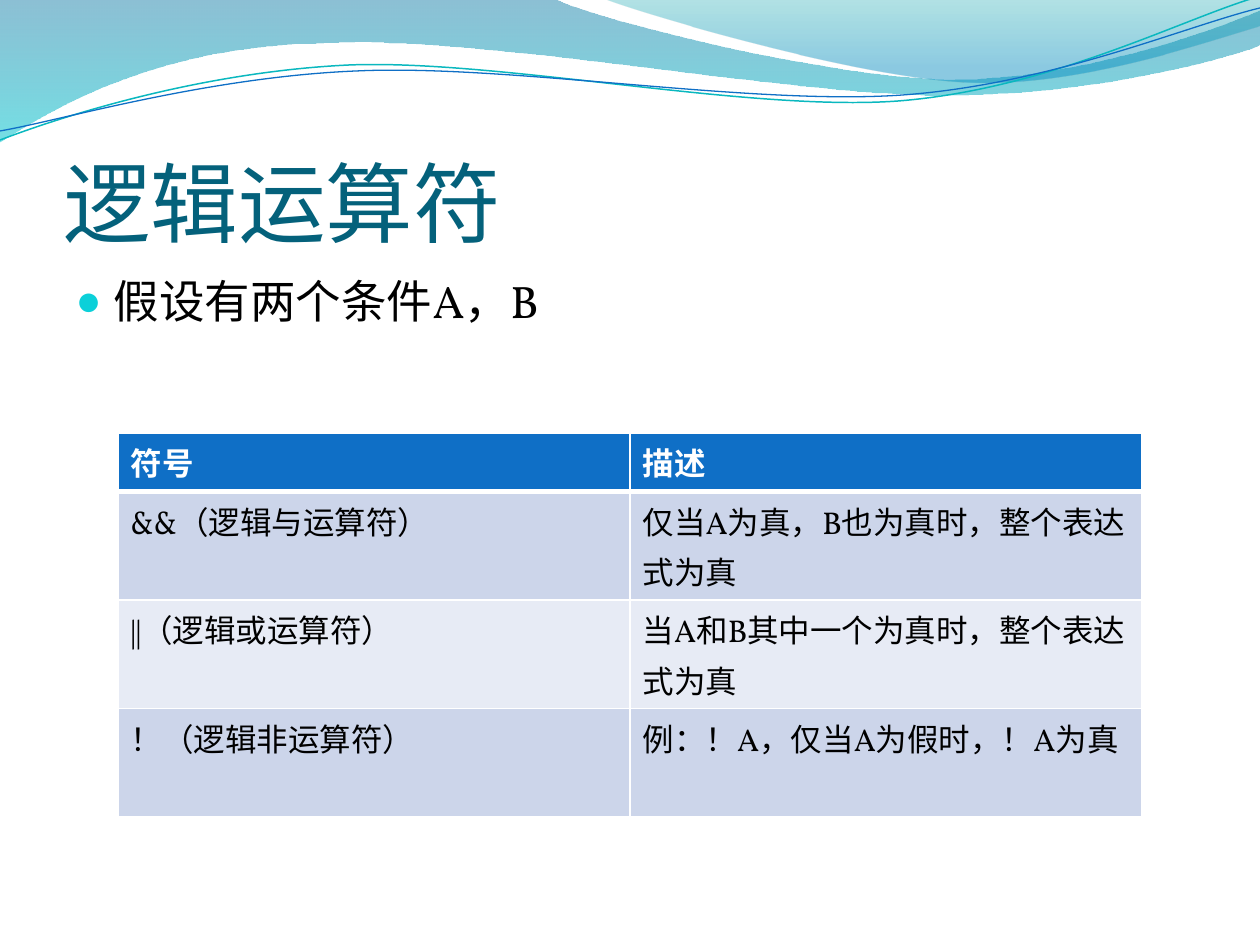
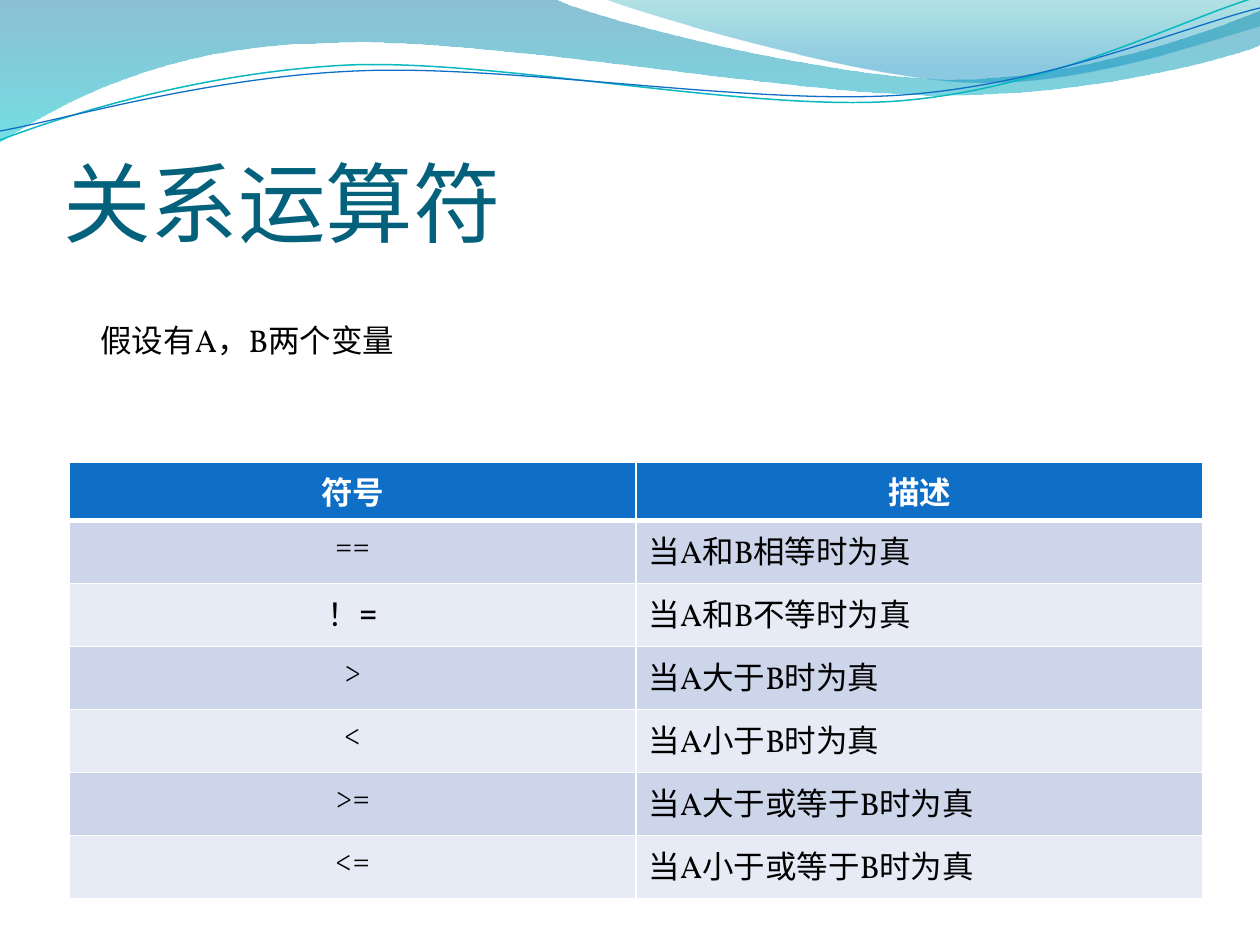
from pptx import Presentation
from pptx.dml.color import RGBColor as RGB
from pptx.enum.text import MSO_ANCHOR as Anchor, MSO_AUTO_SIZE as Fit, PP_ALIGN as Align
from pptx.oxml import parse_xml
from pptx.oxml.ns import nsdecls, qn
from pptx.util import Pt

PX = 914400 / 126  # EMU in one px
NS = nsdecls("a")

# Colours and fonts
WHITE = RGB(0xFF, 0xFF, 0xFF)
BLACK = RGB(0, 0, 0)
BLUE = RGB(0x0F, 0x6F, 0xC6)
TEAL = RGB(0x0A, 0xB8, 0xBF)
CYAN = RGB(0x0B, 0xD0, 0xD9)
NAVY = RGB(0x04, 0x61, 0x7B)
BANDS = RGB(0xCC, 0xD5, 0xEA), RGB(0xE7, 0xEB, 0xF5)
SERIF, SANS, MONO = "Vollkorn", "Calibri", "Noto Sans Mono"

# Content
LOGIC = {
    "title": "逻辑运算符",
    "note": "假设有两个条件A，B",
    "rows": [
        ("符号", "描述"),
        ("&&（逻辑与运算符）", "仅当A为真，B也为真时，整个表达式为真"),
        ("||（逻辑或运算符）", "当A和B其中一个为真时，整个表达式为真"),
        ("！（逻辑非运算符）", "例：！A，仅当A为假时，！A为真"),
    ],
    "box": (118, 433, 1024),
    "highs": [52, 88, 88, 52],
}
RELATE = {
    "title": "关系运算符",
    "note": "假设有A，B两个变量",
    "rows": [
        ("符号", "描述"),
        ("==", "当A和B相等时为真"),
        ("！=", "当A和B不等时为真"),
        (">", "当A大于B时为真"),
        ("<", "当A小于B时为真"),
        (">=", "当A大于或等于B时为真"),
        ("<=", "当A小于或等于B时为真"),
    ],
    "box": (69, 462, 1134),
    "highs": [52] * 7,
}

# Header waves: a start, then steps of one point (line) or three (curve)
FILLS = [
    ([(0, 0), [(554, -1)],
      [(600, 21), (837, 79), (955, 79)], [(1075, 79), (1207, 33), (1260, 11)],
      [(1261, 45)],
      [(1239, 55), (1096, 96), (940, 95)], [(784, 95), (481, 35), (324, 43)],
      [(163, 45), (58, 105), (-1, 142)]],
     [(0, "0074A1", 45), (100, "00C6CF", 55)]),
    ([(604, -1), [(641, 14), (859, 78), (969, 82)],
      [(1079, 87), (1211, 40), (1260, 26)], [(1260, 0)]],
     [(0, "00A1A9", 30), (80, "008BBF", 45)]),
]
LINES = [
    ([(0, 140), [(60, 117), (199, 72), (349, 65)],
      [(498, 59), (747, 112), (898, 101)], [(1050, 89), (1182, 19), (1257, -3)]],
     TEAL, 0.85),
    ([(0, 131), [(59, 121), (207, 77), (357, 71)],
      [(508, 64), (752, 106), (903, 95)], [(1053, 84), (1186, 26), (1260, 8)]],
     BLUE, 0.75),
]


def emu(*px):
    return [round(n * PX) for n in px]


def place(shape, *box):
    shape.left, shape.top, shape.width, shape.height = emu(*box)


def style(para, size, name, color, bold=False):
    font = para.font
    font.size, font.name, font.bold = Pt(size), name, bold
    font.color.rgb = color


# Waves
def bend(wave, steps):
    """Turn the straight steps that have control points into curves."""
    straight = list(wave.element.spPr.iter(qn("a:lnTo")))
    for line, step in zip(straight, steps):
        if len(step) == 3:
            dots = [emu(*dot) for dot in step]
            marks = "".join(f'<a:pt x="{x - wave.left}" y="{y - wave.top}"/>'
                            for x, y in dots)
            curve = parse_xml(f"<a:cubicBezTo {NS}>{marks}</a:cubicBezTo>")
            line.getparent().replace(line, curve)


def draw(slide, steps, close):
    start, *rest = steps
    pen = slide.shapes.build_freeform(*emu(*start))
    pen.add_line_segments([emu(*step[-1]) for step in rest], close=close)
    wave = pen.convert_to_shape()
    wave.shadow.inherit = False
    bend(wave, rest)
    return wave


def shade(wave, stops):
    wave.line.fill.background()
    wave.fill.gradient()
    marks = "".join(
        f'<a:gs pos="{pos * 1000}"><a:srgbClr val="{color}">'
        f'<a:alpha val="{alpha * 1000}"/></a:srgbClr></a:gs>'
        for pos, color, alpha in stops)
    props = wave.element.spPr
    props.replace(props.find(qn("a:gradFill")), parse_xml(
        f'<a:gradFill {NS} rotWithShape="1"><a:gsLst>{marks}</a:gsLst>'
        '<a:lin ang="5400000" scaled="0"/></a:gradFill>'))


def add_waves(slide, master):
    """Draw the waves, then move them behind everything on the master."""
    waves = []
    for steps, stops in FILLS:
        waves.append(draw(slide, steps, True))
        shade(waves[-1], stops)
    for steps, color, width in LINES:
        wave = draw(slide, steps, False)
        wave.fill.background()
        wave.line.color.rgb, wave.line.width = color, Pt(width)
        waves.append(wave)
    for i, wave in enumerate(waves):
        master.shapes.element.insert(2 + i, wave.element)


# Text
def add_title(slide, text):
    title = slide.shapes.title
    place(title, 63, 97, 1134, 157)
    frame = title.text_frame
    frame.text = text
    frame.auto_size, frame.vertical_anchor = Fit.NONE, Anchor.BOTTOM
    frame.margin_left = frame.margin_right = frame.margin_bottom = 0
    frame.margin_top = Pt(3.6)
    para = frame.paragraphs[0]
    para.alignment = Align.LEFT
    style(para, 50, SANS, NAVY)


def add_list(slide, text):
    body = slide.placeholders[1]
    place(body, 63, 267, 1134, 605)
    body.text_frame.text = text
    para = body.text_frame.paragraphs[0]
    style(para, 26, SERIF, BLACK)
    props = para._p.get_or_add_pPr()
    step = emu(38)[0]
    props.set("marL", str(step))
    props.set("indent", str(-step))
    bullet = (f'<a:buClr {NS}><a:srgbClr val="{CYAN}"/></a:buClr>',
              f'<a:buSzPct {NS} val="95000"/>',
              f'<a:buChar {NS} char="●"/>')
    for i, xml in enumerate(bullet):
        props.insert(i, parse_xml(xml))


def add_note(slide, text):
    frame = slide.shapes.add_textbox(*emu(88, 315, 1014, 50)).text_frame
    frame.word_wrap, frame.auto_size = True, Fit.SHAPE_TO_FIT_TEXT
    frame.text = text
    style(frame.paragraphs[0], 18, SERIF, BLACK)


# Tables
def edge(cell, row):
    """White borders, with a thick rule under the head row."""
    wide = {"T": 3 if row == 1 else 1, "B": 3 if row == 0 else 1}
    props = cell._tc.get_or_add_tcPr()
    for i, side in enumerate("LRTB"):
        props.insert(i, parse_xml(
            f'<a:ln{side} {NS} w="{Pt(wide.get(side, 1))}"><a:solidFill>'
            f'<a:srgbClr val="{WHITE}"/></a:solidFill></a:ln{side}>'))


def add_grid(slide, data, center):
    rows, highs = data["rows"], data["highs"]
    box = emu(*data["box"], sum(highs))
    grid = slide.shapes.add_table(len(rows), len(rows[0]), *box).table
    for r, (texts, high) in enumerate(zip(rows, highs)):
        grid.rows[r].height = emu(high)[0]
        for c, text in enumerate(texts):
            cell = grid.cell(r, c)
            cell.text = text
            cell.fill.solid()
            cell.fill.fore_color.rgb = BANDS[(r - 1) % 2] if r else BLUE
            edge(cell, r)
            para = cell.text_frame.paragraphs[0]
            if center and (r == 0 or c == 0):
                para.alignment = Align.CENTER
            style(para, 18, MONO if text == "！=" else SERIF,
                  BLACK if r else WHITE, r == 0)


def main():
    deck = Presentation()
    deck.slide_width, deck.slide_height = emu(1260, 945)

    # Logical operators
    slide = deck.slides.add_slide(deck.slide_layouts[1])
    add_waves(slide, deck.slide_master)
    add_title(slide, LOGIC["title"])
    add_list(slide, LOGIC["note"])
    add_grid(slide, LOGIC, center=False)

    # Relational operators
    slide = deck.slides.add_slide(deck.slide_layouts[5])
    add_title(slide, RELATE["title"])
    add_grid(slide, RELATE, center=True)
    add_note(slide, RELATE["note"])

    deck.save("out.pptx")


if __name__ == "__main__":
    main()
